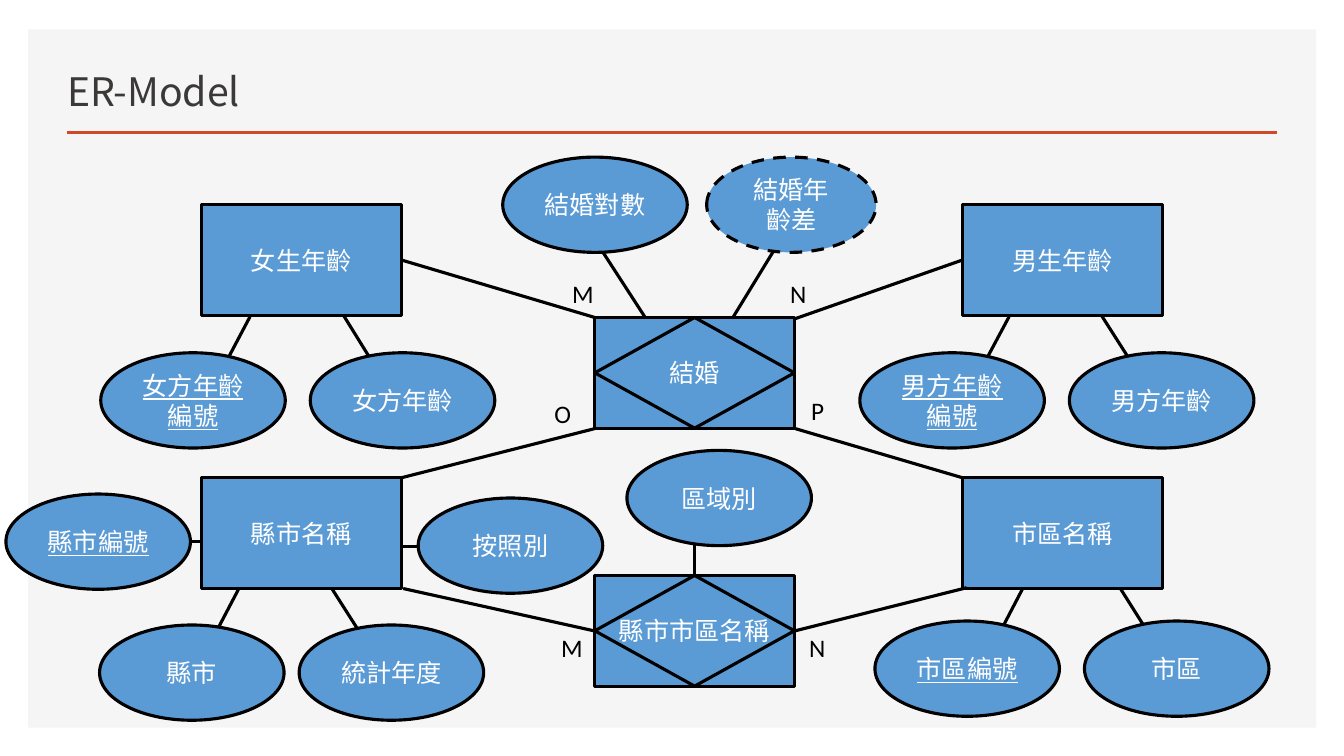
"""Build the ER-Model slide: marriage statistics entities, relationships and attributes."""
from typing import NamedTuple

import lxml.etree
import pptx
import pptx.dml.color
import pptx.enum.dml
import pptx.enum.shapes
import pptx.enum.text
import pptx.oxml.ns
import pptx.util
from pptx.util import Cm

COLORS = {
    "panel": "F5F5F5",
    "accent": "D24726",
    "title": "3B3838",
    "node": "5B9BD5",
    "outline": "000000",
    "node_text": "FFFFFF",
    "label": "000000",
}
BODY_FONT = "Calibri"
TITLE_FONT = "Noto Sans CJK TC"
BOX_WIDTH, BOX_HEIGHT = 5.03, 2.79
OVAL_WIDTH, OVAL_HEIGHT = 4.65, 2.4
OUTLINE_WIDTH = 2.25
SHAPES = pptx.enum.shapes.MSO_SHAPE

Point = tuple[float, float]


class Box(NamedTuple):
    name: str
    left: float
    top: float
    is_relationship: bool = False


class Attribute(NamedTuple):
    name: str
    left: float
    top: float
    link_start: Point
    link_end: Point
    is_key: bool = False
    is_derived: bool = False
    width: float = OVAL_WIDTH


class Link(NamedTuple):
    start: Point
    end: Point


class Cardinality(NamedTuple):
    symbol: str
    left: float
    top: float


LEFT, MIDDLE, RIGHT = 5.08, 14.99, 24.26

BOXES = [
    Box("縣市市區名稱", MIDDLE, 14.5, is_relationship=True),
    Box("女生年齡", LEFT, 5.16),
    Box("男生年齡", RIGHT, 5.16),
    Box("縣市名稱", LEFT, 12.04),
    Box("結婚", MIDDLE, 8.0, is_relationship=True),
    Box("市區名稱", RIGHT, 12.04),
]

ATTRIBUTES = [
    Attribute("結婚對數", 12.67, 3.96, (16.26, 8.0), (15.21, 6.38)),
    Attribute("結婚年齡差", 17.81, 3.96, (18.47, 8.0), (19.51, 6.3), is_derived=True, width=4.27),
    Attribute("女方年齡編號", 2.54, 8.89, (6.3, 7.98), (5.54, 9.42), is_key=True),
    Attribute("女方年齡", 7.82, 8.89, (8.64, 7.92), (9.65, 9.55)),
    Attribute("男方年齡編號", 21.67, 8.89, (25.43, 7.98), (24.66, 9.42), is_key=True),
    Attribute("男方年齡", 26.95, 8.89, (27.74, 7.92), (28.78, 9.55)),
    Attribute("市區編號", 22.05, 15.65, (25.81, 14.76), (25.07, 16.18), is_key=True),
    Attribute("市區", 27.33, 15.65, (28.14, 14.68), (29.18, 16.33)),
    Attribute("縣市", 2.51, 15.75, (6.02, 14.83), (5.26, 16.28)),
    Attribute("統計年度", 7.54, 15.75, (8.33, 14.78), (9.37, 16.41)),
    Attribute("縣市編號", 0.15, 12.45, (6.22, 13.64), (4.83, 13.64), is_key=True),
    Attribute("按照別", 10.54, 12.55, (9.32, 13.77), (10.54, 13.77)),
    Attribute("區域別", 15.8, 11.35, (17.5, 14.5), (17.5, 13.31)),
]

LINKS = [
    Link((10.11, 6.55), (14.99, 8.0)),
    Link((24.26, 6.55), (20.04, 8.03)),
    Link((10.11, 12.04), (14.99, 10.8)),
    Link((20.04, 10.8), (24.26, 12.04)),
    Link((10.16, 14.83), (14.99, 15.9)),
    Link((20.02, 15.9), (24.36, 14.81)),
]

CARDINALITIES = [
    Cardinality("M", 14.17, 6.88),
    Cardinality("N", 19.66, 6.88),
    Cardinality("O", 13.72, 9.91),
    Cardinality("P", 20.19, 9.83),
    Cardinality("N", 20.14, 15.82),
    Cardinality("M", 13.89, 15.82),
]


def rgb(role: str) -> pptx.dml.color.RGBColor:
    """Return the colour used for a role."""
    return pptx.dml.color.RGBColor.from_string(COLORS[role])


def add_run(paragraph, text: str, size: float, font: str, role: str, underline: bool = False) -> None:
    """Append one formatted run to a paragraph."""
    run = paragraph.add_run()
    run.text = text
    run.font.size = pptx.util.Pt(size)
    run.font.name = font
    run.font.color.rgb = rgb(role)
    if underline:
        run.font.underline = True


def draw_line(slide, start: Point, end: Point, role: str = "outline", width: float = OUTLINE_WIDTH) -> None:
    """Draw a straight line without a shadow."""
    line = slide.shapes.add_connector(
        pptx.enum.shapes.MSO_CONNECTOR.STRAIGHT, *(Cm(value) for value in (*start, *end))
    )
    line.line.color.rgb = rgb(role)
    line.line.width = pptx.util.Pt(width)
    properties = line._element.find(pptx.oxml.ns.qn("p:spPr"))
    lxml.etree.SubElement(properties, pptx.oxml.ns.qn("a:effectLst"))


def draw_node(slide, kind, name: str, left: float, top: float, width: float, height: float,
              underline: bool = False, dashed: bool = False) -> None:
    """Draw an outlined shape with its centred name."""
    node = slide.shapes.add_shape(kind, Cm(left), Cm(top), Cm(width), Cm(height))
    node.shadow.inherit = False
    node.fill.solid()
    node.fill.fore_color.rgb = rgb("node")
    node.line.color.rgb = rgb("outline")
    node.line.width = pptx.util.Pt(OUTLINE_WIDTH)
    if dashed:
        node.line.dash_style = pptx.enum.dml.MSO_LINE.DASH
    node.text_frame.word_wrap = True
    node.text_frame.vertical_anchor = pptx.enum.text.MSO_ANCHOR.MIDDLE
    paragraph = node.text_frame.paragraphs[0]
    paragraph.alignment = pptx.enum.text.PP_ALIGN.CENTER
    add_run(paragraph, name, 18, BODY_FONT, "node_text", underline)


def draw_box(slide, box: Box) -> None:
    """Draw an entity, or a relationship with its inner diamond."""
    draw_node(slide, SHAPES.RECTANGLE, box.name, box.left, box.top, BOX_WIDTH, BOX_HEIGHT)
    if box.is_relationship:
        center_x, center_y = box.left + BOX_WIDTH / 2, box.top + BOX_HEIGHT / 2
        for tip_y in (box.top, box.top + BOX_HEIGHT):
            for side_x in (box.left, box.left + BOX_WIDTH):
                draw_line(slide, (center_x, tip_y), (side_x, center_y))


def draw_frame(slide) -> None:
    """Draw the panel, the title and the rule below it."""
    panel = slide.shapes.add_shape(SHAPES.RECTANGLE, Cm(0.71), Cm(0.74), Cm(32.46), Cm(17.6))
    panel.shadow.inherit = False
    panel.fill.solid()
    panel.fill.fore_color.rgb = rgb("panel")
    panel.line.fill.background()
    draw_line(slide, (1.68, 3.33), (32.18, 3.33), "accent", 2)
    title = slide.shapes.add_textbox(Cm(1.45), Cm(1.24), Cm(19.1), Cm(1.78)).text_frame
    title.word_wrap = True
    title.vertical_anchor = pptx.enum.text.MSO_ANCHOR.BOTTOM
    title.paragraphs[0].line_spacing = 0.9
    add_run(title.paragraphs[0], "ER-Model", 28, TITLE_FONT, "title")


def main() -> None:
    """Build and save the slide."""
    deck = pptx.Presentation()
    deck.slide_width, deck.slide_height = Cm(33.87), Cm(19.05)
    slide = deck.slides.add_slide(deck.slide_layouts[6])
    draw_frame(slide)
    for attribute in ATTRIBUTES:
        draw_line(slide, attribute.link_start, attribute.link_end)
    for box in BOXES:
        draw_box(slide, box)
    for attribute in ATTRIBUTES:
        draw_node(slide, SHAPES.OVAL, attribute.name, attribute.left, attribute.top,
                  attribute.width, OVAL_HEIGHT, attribute.is_key, attribute.is_derived)
    for link in LINKS:
        draw_line(slide, link.start, link.end)
    for mark in CARDINALITIES:
        label = slide.shapes.add_textbox(Cm(mark.left), Cm(mark.top), Cm(2.16), Cm(1.03)).text_frame
        label.word_wrap = True
        add_run(label.paragraphs[0], mark.symbol, 18, BODY_FONT, "label")
    deck.save("out.pptx")


if __name__ == "__main__":
    main()
